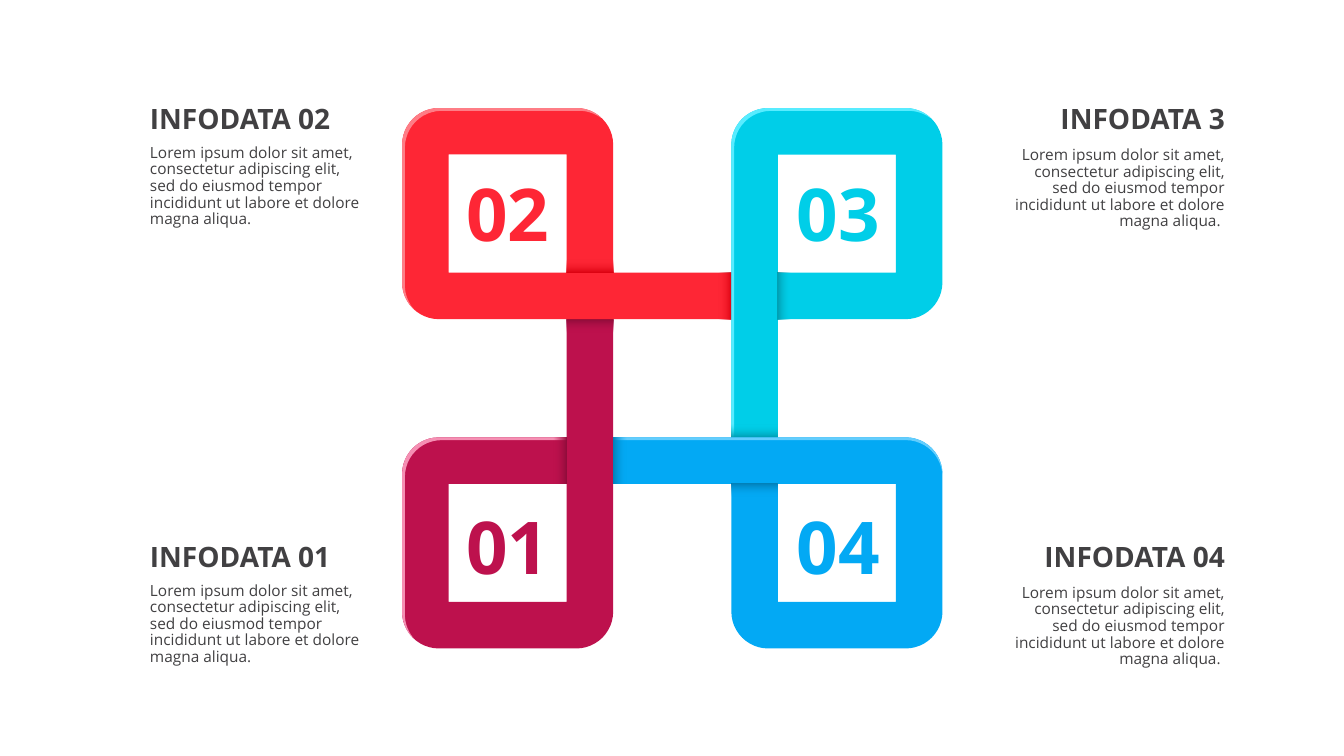
from math import cos, radians, sin

from lxml.etree import SubElement
from pptx import Presentation
from pptx.dml.color import RGBColor
from pptx.enum.shapes import MSO_SHAPE as SHAPE
from pptx.enum.text import MSO_ANCHOR as ANCHOR, PP_ALIGN as ALIGN
from pptx.oxml.ns import qn
from pptx.util import Pt

FONT = "Open Sans"
INK = RGBColor(0x41, 0x40, 0x42)
PLUM, PLUM_DARK, PLUM_LIGHT = RGBColor(0xBD, 0x11, 0x4D), RGBColor(0x8E, 0x0D, 0x3A), RGBColor(0xF5, 0x8F, 0xB3)
RED, RED_DARK, RED_LIGHT = RGBColor(0xFE, 0x26, 0x35), RGBColor(0xDA, 0x01, 0x10), RGBColor(0xFE, 0x7D, 0x86)
CYAN, CYAN_DARK, CYAN_LIGHT = RGBColor(0x00, 0xCE, 0xE8), RGBColor(0x00, 0x9A, 0xAE), RGBColor(0x58, 0xEC, 0xFF)
BLUE, BLUE_DARK, BLUE_LIGHT = RGBColor(0x03, 0xA9, 0xF4), RGBColor(0x02, 0x7F, 0xB7), RGBColor(0x63, 0xCD, 0xFD)

# Knot lengths in points, measured from its centre
CENTER_X, CENTER_Y = 480.2, 270.2
BAND, HOLE, RADIUS = 33.2, 84.4, 26.3
NEAR = HOLE / 2
INNER = NEAR + BAND
FAR = INNER + HOLE
OUTER = FAR + BAND
MID = (INNER + FAR) / 2
SHADE = 38
GLOW = 2

LOREM = ("Lorem ipsum dolor sit amet, consectetur adipiscing elit, sed do eiusmod "
         "tempor incididunt ut labore et dolore magna aliqua.")


def arc(cx, cy, start, end):
    """Points of a rounded corner, angles in degrees clockwise from the right."""
    steps = 12
    angles = [radians(start + (end - start) * i / steps) for i in range(steps + 1)]
    return [(cx + RADIUS * cos(a), cy + RADIUS * sin(a)) for a in angles]


def turn(points, quarters):
    """Rotate points clockwise about the knot's centre."""
    for _ in range(quarters):
        points = [(-y, x) for x, y in points]
    return points


def plain(shape):
    shape.shadow.inherit = False
    shape.line.fill.background()
    return shape


def add_outline(group, color, *contours):
    builder = None
    for contour in contours:
        points = [(Pt(CENTER_X + x), Pt(CENTER_Y + y)) for x, y in contour]
        if builder is None:
            builder = group.shapes.build_freeform(*points[0])
        else:
            builder.move_to(*points[0])
        builder.add_line_segments(points[1:], close=True)
    shape = plain(builder.convert_to_shape())
    shape.fill.solid()
    shape.fill.fore_color.rgb = color


def add_shade(group, corners, angle, dark, color):
    """Rectangle fading from dark to clear; angle is clockwise."""
    xs, ys = zip(*corners)
    shape = plain(group.shapes.add_shape(
        SHAPE.RECTANGLE, Pt(CENTER_X + min(xs)), Pt(CENTER_Y + min(ys)),
        Pt(max(xs) - min(xs)), Pt(max(ys) - min(ys))))
    shape.fill.gradient()
    shape.fill.gradient_angle = -angle % 360
    start, end = shape.fill.gradient_stops
    start.color.rgb, start.position = dark, 0
    end.color.rgb, end.position = color, 0.25
    clear = shape.fill._xPr.findall(".//" + qn("a:srgbClr"))[-1]
    SubElement(clear, qn("a:alpha"), val="0")


def add_glow(group, color, edge, shift, start_shift, end_shift):
    """Light strip between an edge and the same edge moved inwards."""
    shifts = [start_shift] + [shift] * (len(edge) - 2) + [end_shift]
    inside = [(x + dx, y + dy) for (x, y), (dx, dy) in zip(edge, shifts)]
    add_outline(group, color, edge + inside[::-1])


def add_loop(slide, quarters, color, dark, light, glow):
    group = slide.shapes.add_group_shape()
    low, high = NEAR + RADIUS, OUTER - RADIUS
    outline = ([(-INNER, -NEAR), (-NEAR, -NEAR)] + arc(-low, high, 0, 90)
               + arc(-high, high, 90, 180) + arc(-high, low, 180, 270) + [(-INNER, NEAR)])
    hole = [(-FAR, INNER), (-FAR, FAR), (-INNER, FAR), (-INNER, INNER)]
    add_outline(group, color, turn(outline, quarters), turn(hole, quarters))
    add_glow(group, light, *glow)
    arm_end = [(-INNER, -NEAR), (-NEAR, SHADE - NEAR)]
    crossing = [(-INNER - SHADE, NEAR), (-INNER, INNER)]
    for part, angle in ((arm_end, 90), (crossing, 180)):
        add_shade(group, turn(part, quarters), (angle + 90 * quarters) % 360, dark, color)


def add_knot(slide):
    low, high = NEAR + RADIUS, OUTER - RADIUS
    both, across, down, none = (GLOW, GLOW), (GLOW, 0), (0, GLOW), (0, 0)
    glows = [
        (arc(-high, high, 135, 180) + arc(-high, low, 180, 270) + [(-INNER, NEAR)],
         both, none, down),
        (arc(-high, -low, 135, 180) + arc(-high, -high, 180, 270) + arc(-low, -high, 270, 310),
         both, none, none),
        ([(NEAR, NEAR)] + arc(low, -high, 180, 270) + arc(high, -high, 270, 310),
         both, across, none),
        ([(-NEAR, NEAR)] + arc(high, low, 270, 360), down, down, none),
    ]
    palettes = [(PLUM, PLUM_DARK, PLUM_LIGHT), (RED, RED_DARK, RED_LIGHT),
                (CYAN, CYAN_DARK, CYAN_LIGHT), (BLUE, BLUE_DARK, BLUE_LIGHT)]
    for quarters, (palette, glow) in enumerate(zip(palettes, glows)):
        add_loop(slide, quarters, *palette, glow)


def add_text(slide, text, box, size, color, bold=False, align=ALIGN.LEFT):
    frame = slide.shapes.add_textbox(*map(Pt, box)).text_frame
    frame.word_wrap = True
    frame.vertical_anchor = ANCHOR.TOP
    paragraph = frame.paragraphs[0]
    paragraph.text = text
    paragraph.alignment = align
    font = paragraph.runs[0].font
    font.name, font.size, font.bold = FONT, Pt(size), bold
    font.color.rgb = color
    return frame


def add_number(slide, text, color, center_x, center_y):
    width, height = 60, 63.4
    box = (center_x - width / 2, center_y - height / 2, width, height)
    frame = add_text(slide, text, box, 52, color, True, ALIGN.CENTER)
    frame.word_wrap = False
    frame.margin_left = frame.margin_right = frame.margin_top = frame.margin_bottom = 0


def add_caption(slide, heading, body, edge, top, align):
    """Heading over body text, both flush with the given outer edge."""
    on_right = align == ALIGN.RIGHT
    gap = 29.5 if on_right else 28
    for text, offset, width, height, size, bold in (
            (heading, 0, 197, 42.5, 20, True), (body, gap, 165, 65, 11, False)):
        left = edge - width if on_right else edge
        frame = add_text(slide, text, (left, top + offset, width, height), size, INK, bold, align)
        frame.paragraphs[0].line_spacing = 0.9


def main():
    deck = Presentation()
    deck.slide_width, deck.slide_height = Pt(960), Pt(540)
    slide = deck.slides.add_slide(deck.slide_layouts[6])
    add_knot(slide)

    left, right = CENTER_X - MID, CENTER_X + MID + 1
    upper, lower = CENTER_Y - MID - 0.5, CENTER_Y + MID + 2.4
    for text, color, x, y in (("01", PLUM, left, lower), ("02", RED, left, upper),
                              ("03", CYAN, right, upper), ("04", BLUE, right, lower)):
        add_number(slide, text, color, x, y)

    for heading, body, edge, top, align in (
            ("INFODATA 01", LOREM, 100, 384.7, ALIGN.LEFT),
            ("INFODATA 02", LOREM, 100, 72, ALIGN.LEFT),
            ("INFODATA 3", LOREM + " ", 882, 72, ALIGN.RIGHT),
            ("INFODATA 04", LOREM + " ", 882, 384.7, ALIGN.RIGHT)):
        add_caption(slide, heading, body, edge, top, align)
    deck.save("out.pptx")


if __name__ == "__main__":
    main()
